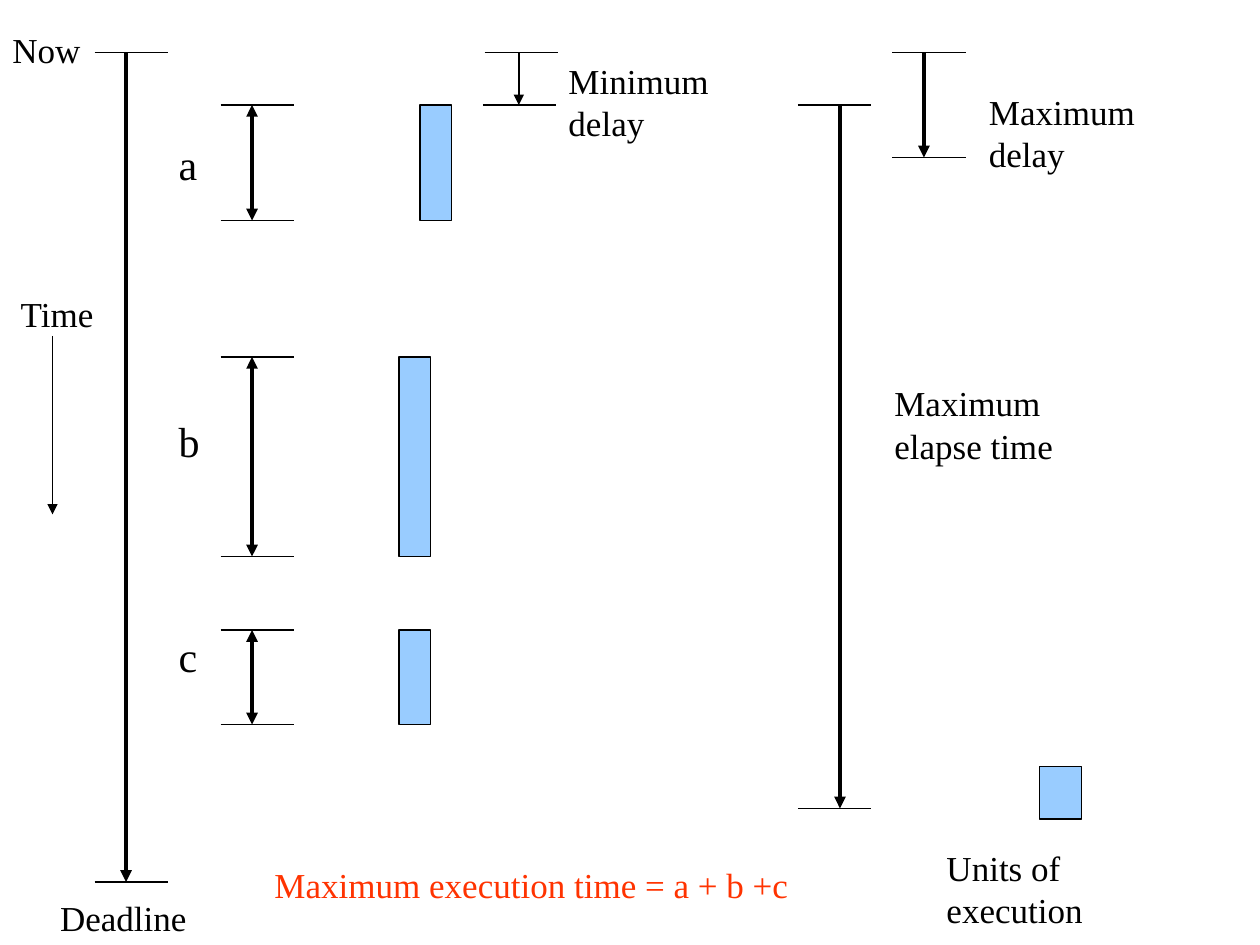
from dataclasses import dataclass

from lxml import etree
from pptx import Presentation
from pptx import util as u
from pptx.dml.color import RGBColor
from pptx.enum import shapes, text
from pptx.oxml.ns import qn

COLORS = {"ink": "000000", "unit": "99CCFF", "formula": "FF3300"}
FONT = "Times New Roman"
TICK_WIDTH = 42
THIN, THICK = 1, 2.25


@dataclass
class Span:
    tick_x: float
    arrow_x: float
    top: float
    bottom: float
    weight: float = THICK
    both_ends: bool = False
    top_shift: float = 0


@dataclass
class Unit:
    x: float
    y: float
    w: float
    h: float


@dataclass
class Label:
    words: str
    x: float
    y: float
    w: float
    h: float = 31.5
    size: float = 20
    color: str = "ink"
    wrap: bool = False


SPANS = [
    Span(54, 72, 30, 504),
    Span(126, 144, 60, 126, both_ends=True),
    Span(126, 144, 204, 318, both_ends=True),
    Span(126, 144, 360, 414, both_ends=True),
    Span(276, 296.5, 30, 60, weight=THIN, top_shift=1),
    Span(456, 480, 60, 462),
    Span(510, 528, 30, 90),
]

UNITS = [
    Unit(240, 60, 18, 66),
    Unit(228, 204, 18, 114),
    Unit(228, 360, 18, 54),
    Unit(594, 438, 24, 30),
]

LABELS = [
    Label("Now", 0, 12.5, 53.5),
    Label("Time", 4.75, 163.5, 57),
    Label("Deadline", 27.25, 509, 86.5),
    Label("a", 95, 75.5, 25, 36, 24),
    Label("b", 95, 234, 26, 36, 24),
    Label("c", 95, 357, 25, 36, 24),
    Label("Minimum delay", 317.75, 30.25, 142.5),
    Label("Maximum delay", 558, 48.25, 146),
    Label("Maximum elapse time", 504, 214.75, 144, 55.5, wrap=True),
    Label("Units of execution", 533.75, 480.25, 162),
    Label("Maximum execution time = a + b +c", 149.75, 490, 308, color="formula"),
]


def rgb(name: str) -> RGBColor:
    return RGBColor.from_string(COLORS[name])


def draw_line(s, x1: float, y1: float, x2: float, y2: float,
              weight: float = THIN, ends: tuple = ()) -> None:
    c = s.shapes.add_connector(shapes.MSO_CONNECTOR.STRAIGHT,
                               u.Pt(x1), u.Pt(y1), u.Pt(x2), u.Pt(y2))
    c.line.color.rgb = rgb("ink")
    c.line.width = u.Pt(weight)
    ln = c.line._get_or_add_ln()
    for end in ends:
        etree.SubElement(ln, qn(f"a:{end}"), type="triangle")
    etree.SubElement(c._element.spPr, qn("a:effectLst"))


def draw_span(s, span: Span) -> None:
    for y, shift in ((span.top, span.top_shift), (span.bottom, 0)):
        x = span.tick_x + shift
        draw_line(s, x, y, x + TICK_WIDTH, y)
    ends = ("headEnd", "tailEnd") if span.both_ends else ("tailEnd",)
    draw_line(s, span.arrow_x, span.top, span.arrow_x, span.bottom, span.weight, ends)


def draw_unit(s, unit: Unit) -> None:
    sp = s.shapes.add_shape(shapes.MSO_SHAPE.RECTANGLE, u.Pt(unit.x), u.Pt(unit.y),
                            u.Pt(unit.w), u.Pt(unit.h))
    sp.shadow.inherit = False
    sp.fill.solid()
    sp.fill.fore_color.rgb = rgb("unit")
    sp.line.color.rgb = rgb("ink")
    sp.line.width = u.Pt(THIN)


def draw_label(s, label: Label) -> None:
    sp = s.shapes.add_textbox(u.Pt(label.x), u.Pt(label.y), u.Pt(label.w), u.Pt(label.h))
    tf = sp.text_frame
    tf.word_wrap = label.wrap
    tf.auto_size = text.MSO_AUTO_SIZE.SHAPE_TO_FIT_TEXT
    p = tf.paragraphs[0]
    p.text = label.words
    p.font.name = FONT
    p.font.size = u.Pt(label.size)
    p.font.color.rgb = rgb(label.color)


def main() -> None:
    prs = Presentation()
    prs.slide_width, prs.slide_height = u.Pt(720), u.Pt(540)
    s = prs.slides.add_slide(prs.slide_layouts[6])
    for span in SPANS:
        draw_span(s, span)
    draw_line(s, 30, 192, 30, 294, ends=("tailEnd",))
    for unit in UNITS:
        draw_unit(s, unit)
    for label in LABELS:
        draw_label(s, label)
    prs.save("out.pptx")


if __name__ == "__main__":
    main()
